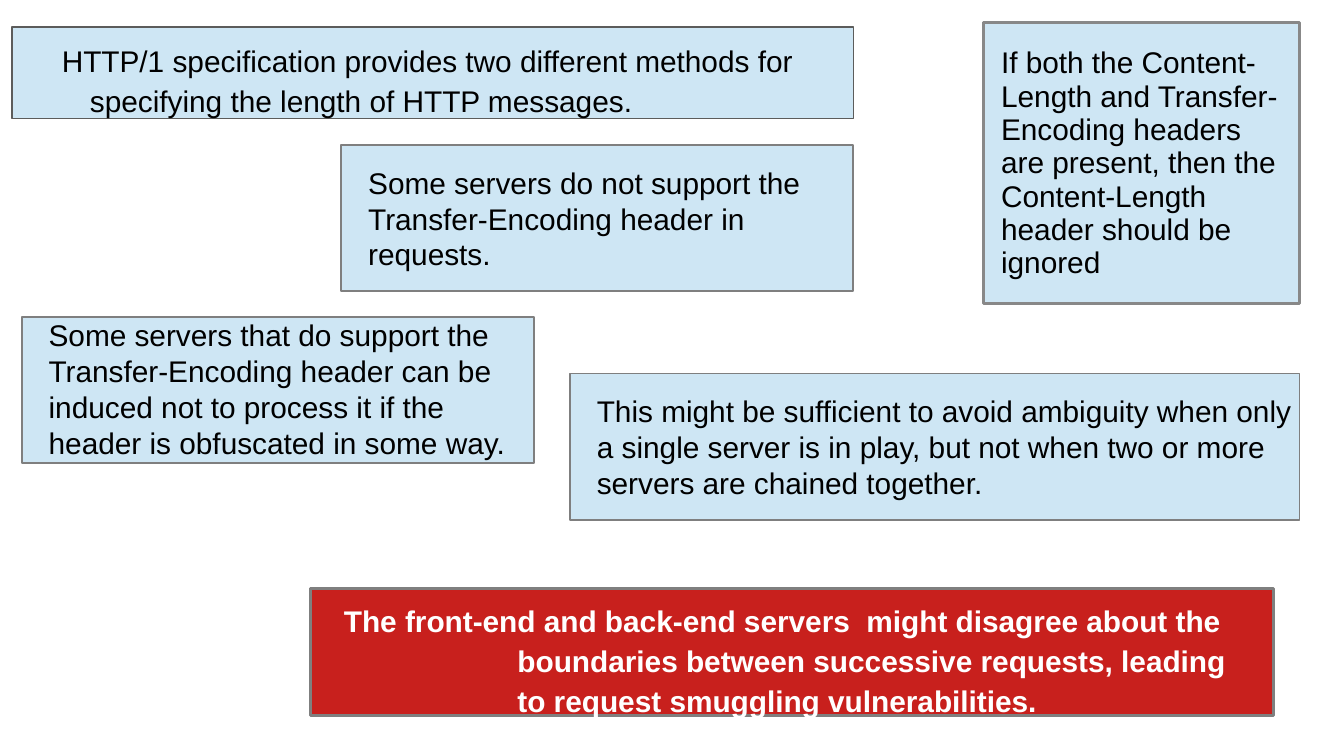
import pptx
import pptx.dml.color
import pptx.enum.shapes
import pptx.enum.text
import pptx.util

Cm = pptx.util.Cm
Pt = pptx.util.Pt
RGBColor = pptx.dml.color.RGBColor
MIDDLE = pptx.enum.text.MSO_ANCHOR.MIDDLE
TOP = pptx.enum.text.MSO_ANCHOR.TOP

BLUE = RGBColor(0xCE, 0xE6, 0xF4)
RED = RGBColor(0xC8, 0x20, 0x1D)
GREY = RGBColor(0x7F, 0x7F, 0x7F)
DARK_GREY = RGBColor(0x5C, 0x5C, 0x5B)
LIGHT_GREY = RGBColor(0x88, 0x88, 0x88)
BLACK = RGBColor(0, 0, 0)
WHITE = RGBColor(0xFF, 0xFF, 0xFF)


def set_all(obj, values):
    for name, value in values.items():
        setattr(obj, name, value)


class Deck:
    """Holds the text style and the current slide."""

    font = {"name": "Arial", "size": Pt(16), "bold": False}

    def __init__(self, width, height):
        self.prs = pptx.Presentation()
        set_all(self.prs, {"slide_width": Cm(width), "slide_height": Cm(height)})
        self.s = self.prs.slides.add_slide(self.prs.slide_layouts[6])

    def panel(self, box, text, fill=BLUE, line=GREY, weight=1, color=BLACK,
              font=None, anchor=MIDDLE, insets=(0, 0, 0), **paragraph):
        sp = self.s.shapes.add_shape(
            pptx.enum.shapes.MSO_SHAPE.RECTANGLE, *map(Cm, box))
        sp.shadow.inherit = False
        sp.fill.solid()
        sp.fill.fore_color.rgb = fill
        sp.line.color.rgb = line
        sp.line.width = Pt(weight)
        left, top, right = map(Cm, insets)
        set_all(sp.text_frame, {
            "word_wrap": True, "vertical_anchor": anchor, "margin_left": left,
            "margin_top": top, "margin_right": right, "margin_bottom": 0})
        self.text(sp.text_frame, text, color, font or {}, **paragraph)

    def text(self, tf, text, color, font, indent=0, first=0, spacing=1.0):
        p = tf.paragraphs[0]
        set_all(p, {"alignment": pptx.enum.text.PP_ALIGN.LEFT,
                    "line_spacing": spacing})
        pPr = p._p.get_or_add_pPr()
        pPr.set("marL", str(Cm(indent)))
        pPr.set("indent", str(Cm(first)))
        r = p.add_run()
        r.text = text
        set_all(r.font, {**self.font, **font})
        r.font.color.rgb = color


def main():
    deck = Deck(25.4, 14.29)

    # The two ways to give a length
    deck.panel((0.23, 0.51, 15.9, 1.73),
               "HTTP/1 specification provides two different methods for "
               "specifying the length of HTTP messages.",
               line=DARK_GREY, weight=0.75, insets=(0, 0.23, 0),
               indent=1.47, first=-0.53, spacing=1.12)

    # Rule when both headers are present
    deck.panel((18.59, 0.43, 5.97, 5.31),
               "If both the Content-Length and Transfer-Encoding headers are "
               "present, then the Content-Length header should be ignored",
               line=LIGHT_GREY, weight=1.44, insets=(0.33, 0.03, 0.33),
               spacing=0.93)

    # Server behaviour
    deck.panel((6.45, 2.74, 9.68, 2.77),
               "Some servers do not support the Transfer-Encoding header in "
               "requests.", indent=0.51)
    deck.panel((10.77, 7.06, 13.79, 2.77),
               "This might be sufficient to avoid ambiguity when only a single "
               "server is in play, but not when two or more servers are "
               "chained together.", indent=0.51)
    deck.panel((0.41, 5.99, 9.68, 2.77),
               "Some servers that do support the Transfer-Encoding header can "
               "be induced not to process it if the header is obfuscated in "
               "some way.", anchor=TOP, indent=0.51)

    # Conclusion
    deck.panel((5.87, 11.13, 18.2, 2.39),
               "The front-end and back-end servers  might disagree about the "
               "boundaries between successive requests, leading to request "
               "smuggling vulnerabilities.",
               fill=RED, weight=1.44, color=WHITE, font={"bold": True},
               anchor=TOP, insets=(0, 0.18, 0.56),
               indent=3.91, first=-3.28, spacing=1.12)

    deck.prs.save("out.pptx")


if __name__ == "__main__":
    main()
